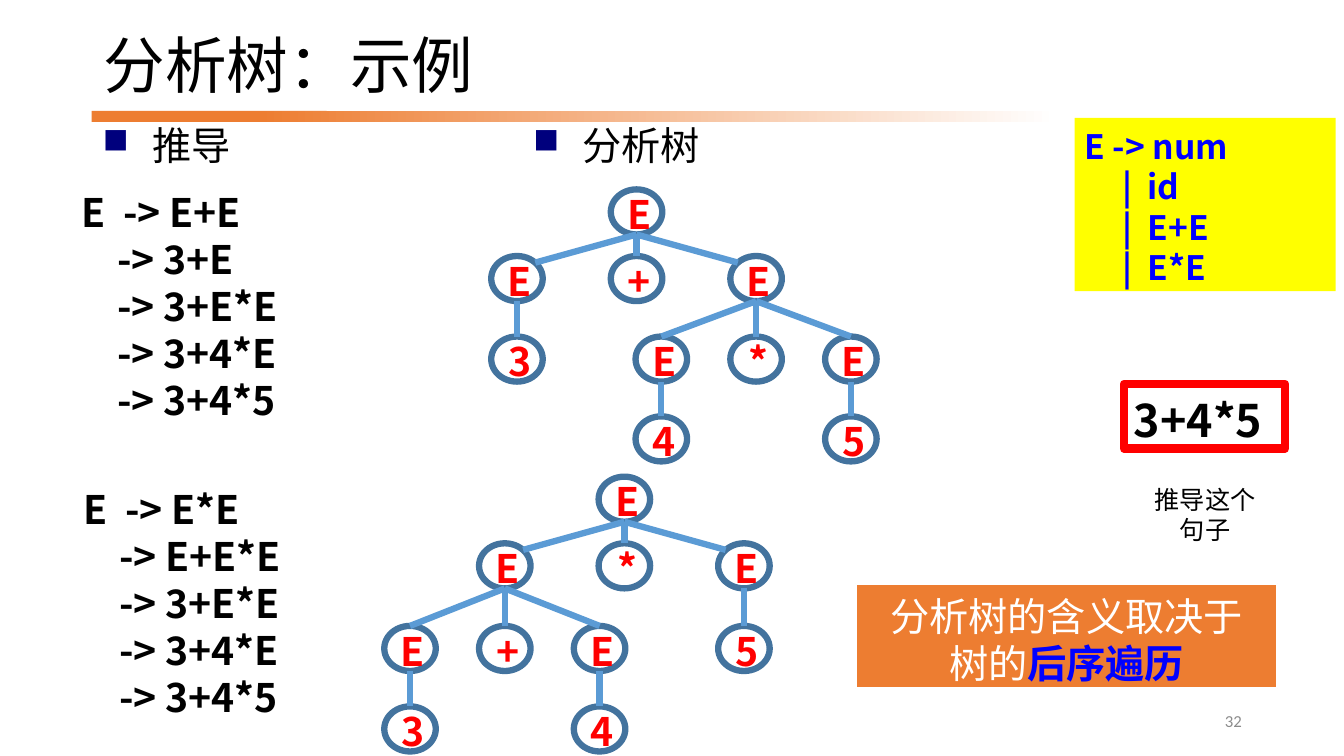
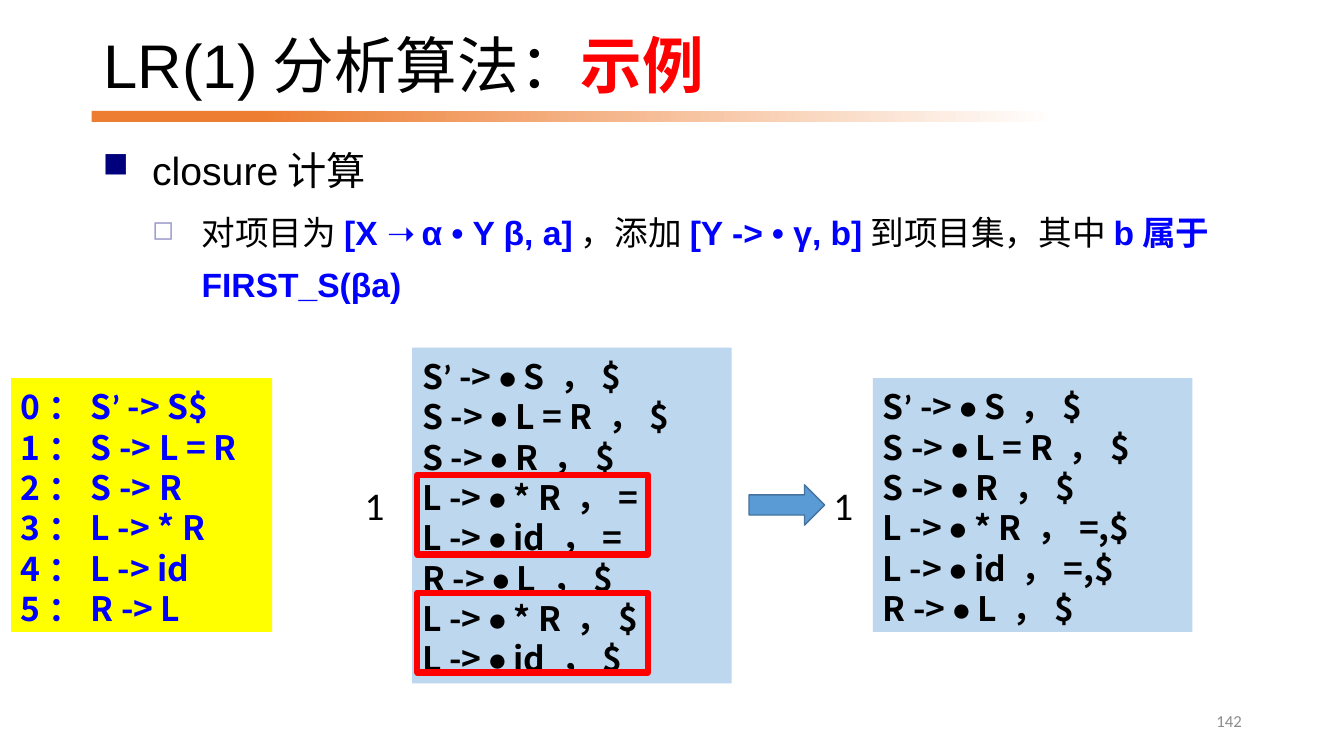
from itertools import groupby

from lxml.etree import SubElement as Sub
from pptx import Presentation
from pptx.dml.color import RGBColor as RGB
from pptx.enum.shapes import MSO_CONNECTOR as Link, MSO_SHAPE as Kind
from pptx.enum.text import MSO_ANCHOR as Anchor, PP_ALIGN as Align
from pptx.oxml.ns import qn
from pptx.util import Pt

BLACK = RGB(0x00, 0x00, 0x00)
WHITE = RGB(0xFF, 0xFF, 0xFF)
GRAY = RGB(0x8C, 0x8C, 0x8C)
RED = RGB(0xFF, 0x00, 0x00)
BLUE = RGB(0x00, 0x00, 0xFF)
YELLOW = RGB(0xFF, 0xFF, 0x00)
ORANGE = RGB(0xED, 0x7D, 0x31)
SKY = RGB(0x5B, 0x9B, 0xD5)
STEEL = RGB(0x43, 0x73, 0x9E)
PALE = RGB(0xBD, 0xD7, 0xEE)

ARIAL, CALIBRI, NOTO = "Arial", "Calibri", "Noto Sans CJK SC"
LEAD = 1.2   # line height per point of type
DROP = 0.09  # baseline shift per point of CJK type
INDENT = 35.4
NODE_W, NODE_H = 36.8, 32.2

# Bullet levels: character, colour, percent, line factor, space before
LEVELS = [
    ("■", "00007D", 90, 0.9, 0),
    ("◻", "9999CC", 80, 1.3, 5),
]


class Deck:
    def __init__(self):
        self.prs = Presentation()
        self.prs.slide_width, self.prs.slide_height = Pt(960), Pt(540)
        self.slide = None

    def page(self, title, number):
        """Start a slide with its title, band and page number."""
        self.slide = self.prs.slides.add_slide(self.prs.slide_layouts[6])
        self.shape((65.5, 79.2, 167.8, 8), ORANGE)
        fade = self.shape((185, 79.2, 570.2, 8), ORANGE).fill
        fade.gradient()
        fade.gradient_angle = 0
        for stop, color in zip(fade.gradient_stops, (ORANGE, WHITE)):
            stop.color.rgb = color
        self.text((67, 12.2, 802, 64), [title], 44, ARIAL, accent=RED,
                  mid=True, factor=0.9)
        self.text((678.2, 500.4, 216, 28.8), [str(number)], 12, CALIBRI,
                  GRAY, align=Align.RIGHT, mid=True)

    def shape(self, at, fill=None, line=None, width=1, kind=Kind.RECTANGLE):
        shape = self.slide.shapes.add_shape(kind, *map(Pt, at))
        shape.shadow.inherit = False
        if fill is None:
            shape.fill.background()
        else:
            shape.fill.solid()
            shape.fill.fore_color.rgb = fill
        if line is None:
            shape.line.fill.background()
        else:
            shape.line.color.rgb = line
            shape.line.width = Pt(width)
        return shape

    def text(self, at, lines, *args, **opts):
        box = self.slide.shapes.add_textbox(*map(Pt, at))
        self.label(box, lines, *args, **opts)

    def label(self, shape, lines, size, face=NOTO, color=BLACK, bold=False,
              accent=BLUE, align=Align.LEFT, mid=False, factor=1):
        """Fill a shape with lines; parts between ** take the accent."""
        frame = shape.text_frame
        self.frame(frame, size, face, mid)
        for i, line in enumerate(lines):
            para = frame.paragraphs[0] if i == 0 else frame.add_paragraph()
            para.alignment = align
            para.line_spacing = Pt(round(size * LEAD * factor, 1))
            self.font(para, size, face, color, bold)
            self.runs(para, line, face, accent)

    def frame(self, frame, size, face, mid):
        frame.word_wrap = True
        frame.vertical_anchor = Anchor.MIDDLE if mid else Anchor.TOP
        shift = 0 if face == CALIBRI else size * DROP * (2 if mid else 1)
        frame.margin_left = frame.margin_right = Pt(7.2)
        frame.margin_top = Pt(round(3.6 + shift, 1))
        frame.margin_bottom = Pt(3.6)

    def font(self, para, size, face, color, bold):
        font = para.font
        font.size, font.bold, font.name = Pt(size), bold, face
        font.color.rgb = color
        if face != CALIBRI:
            props = para._p.pPr.find(qn("a:defRPr"))
            Sub(props, qn("a:ea")).set("typeface", NOTO)

    def runs(self, para, line, face, accent):
        for i, part in enumerate(line.split("**")):
            # Marks inside grammar text use the Latin face
            for mark, chars in groupby(
                    part, lambda c: face == NOTO and c in "’•"):
                run = para.add_run()
                run.text = "".join(chars)
                if mark:
                    run.font.name = CALIBRI
                if i % 2:
                    run.font.bold = True
                    run.font.color.rgb = accent

    def points(self, at, items):
        """Bulleted list, one level deeper with each item."""
        frame = self.slide.shapes.add_textbox(*map(Pt, at)).text_frame
        self.frame(frame, 28, ARIAL, False)
        for i, (item, level) in enumerate(zip(items, LEVELS)):
            char, tint, percent, factor, before = level
            size = 28 - 4 * i
            para = frame.paragraphs[0] if i == 0 else frame.add_paragraph()
            para.line_spacing = Pt(round(size * LEAD * factor, 1))
            if before:
                para.space_before = Pt(before)
            props = para._p.get_or_add_pPr()
            props.set("marL", str(Pt(INDENT * (i + 1))))
            props.set("indent", str(-Pt(INDENT)))
            hue = Sub(props, qn("a:buClr"))
            Sub(hue, qn("a:srgbClr")).set("val", tint)
            Sub(props, qn("a:buSzPct")).set("val", str(percent * 1000))
            Sub(props, qn("a:buChar")).set("char", char)
            self.font(para, size, ARIAL, BLACK, False)
            self.runs(para, item, ARIAL, BLUE)

    def panel(self, at, lines, fill, color=BLACK):
        self.label(self.shape(at, fill), lines, 24, color=color, bold=True)

    def line(self, start, end):
        ends = map(Pt, (*start, *end))
        link = self.slide.shapes.add_connector(Link.STRAIGHT, *ends)
        link.line.color.rgb = SKY
        link.line.width = Pt(4.5)
        Sub(link._element.spPr, qn("a:effectLst"))

    def tree(self, node, x, y, drops, gap=85.4):
        """Draw a node centred on x, y, then its children below."""
        name, *kids = node
        oval = self.shape((x - NODE_W / 2, y - NODE_H / 2, NODE_W, NODE_H),
                          WHITE, STEEL, 4.5, Kind.OVAL)
        self.label(oval, [name], 28, color=RED, bold=True,
                   align=Align.CENTER, mid=True)
        frame = oval.text_frame
        frame.margin_left, frame.margin_top = Pt(4), Pt(3)
        frame.margin_right = frame.margin_bottom = 0
        for i, kid in enumerate(kids):
            side = i - (len(kids) - 1) / 2
            kid_x, kid_y = x + side * gap, y + drops[0]
            self.tree(kid, kid_x, kid_y, drops[1:], 67.7)
            # Wide branches meet the oval at its upper inner corner
            slant = 0.71 if side and gap > 80 else 0
            rise = slant or 1
            self.line((x, y + NODE_H / 2),
                      (kid_x - side * slant * NODE_W / 2,
                       kid_y - rise * NODE_H / 2))


def trees(deck):
    deck.page("分析树：示例", 32)

    # Grammar and target sentence
    deck.panel((767.5, 84.2, 186.5, 123.8),
               ["E -> num", "     |  id", "     |  E+E", "     |  E*E"],
               YELLOW, BLUE)
    goal = deck.shape((802.8, 274.3, 115.2, 46.1), None, RED, 6)
    deck.label(goal, ["3+4*5"], 32, bold=True)
    deck.text((812.9, 340.6, 95.8, 51), ["推导这个句子"], 18,
              align=Align.CENTER)

    # Headings and derivations
    deck.points((66.2, 84.2, 118, 44), ["推导"])
    deck.points((373.7, 84.2, 147, 44), ["分析树"])
    proofs = [
        (51.1, 128.2, ["E+E", "3+E", "3+E*E", "3+4*E", "3+4*5"]),
        (52.6, 340.6, ["E*E", "E+E*E", "3+E*E", "3+4*E", "3+4*5"]),
    ]
    for x, y, steps in proofs:
        lines = [("    " if i else "E  ") + "-> " + step
                 for i, step in enumerate(steps)]
        deck.text((x, y, 190, 177), lines, 28, bold=True)

    # Parse trees
    deck.tree(("E", ("E", ("3",)), ("+",),
               ("E", ("E", ("4",)), ("*",), ("E", ("5",)))),
              454.7, 151.4, (47.6, 57.5, 57))
    deck.tree(("E", ("E", ("E", ("3",)), ("+",), ("E", ("4",))), ("*",),
               ("E", ("5",))),
              446, 356.6, (47.6, 59, 57.5))

    # Conclusion
    note = deck.shape((611.3, 416.9, 301, 74.9), ORANGE, WHITE, 1.5)
    deck.label(note, ["分析树的含义取决于", "树的**后序遍历**"], 28,
               color=WHITE, align=Align.CENTER)


def closure(deck):
    deck.page("LR(1)分析算法：**示例**", 142)
    deck.points((66.2, 101.5, 828, 386.6), [
        "closure计算",
        "对项目为**[X ➝ α • Y β, a]**，添加**[Y -> • γ, b]**"
        "到项目集，其中**b属于FIRST_S(βa)**"])

    # Grammar
    rules = ["S’ -> S$", "S -> L = R", "S -> R", "L -> * R", "L -> id",
             "R -> L"]
    deck.panel((7.9, 270, 186.5, 181.4),
               [f"{i}：{rule}" for i, rule in enumerate(rules)],
               YELLOW, BLUE)

    # Item sets before and after merging
    head = ["S’ -> • S ，$", "S -> • L = R ，$", "S -> • R ，$"]
    tail = "R -> • L ，$"

    def pair(ahead):
        return [f"L -> • {body} ，{ahead}" for body in ("* R", "id")]

    deck.panel((294.5, 248.4, 228.2, 239.8),
               head + pair("=") + [tail] + pair("$"), PALE)
    deck.panel((623.5, 270, 228.2, 181.4), head + pair("=,$") + [tail], PALE)
    for x in (253.4, 588.2):
        deck.text((x, 340.6, 41, 41), ["1"], 28, CALIBRI)
    deck.shape((535, 346.3, 54, 28.8), SKY, STEEL, 1, Kind.RIGHT_ARROW)

    # Items to merge
    for y in (339.1, 423.4):
        deck.shape((298.1, y, 164.9, 56.9), None, RED, 4.5)


def main():
    deck = Deck()
    trees(deck)
    closure(deck)
    deck.prs.save("out.pptx")


if __name__ == "__main__":
    main()
